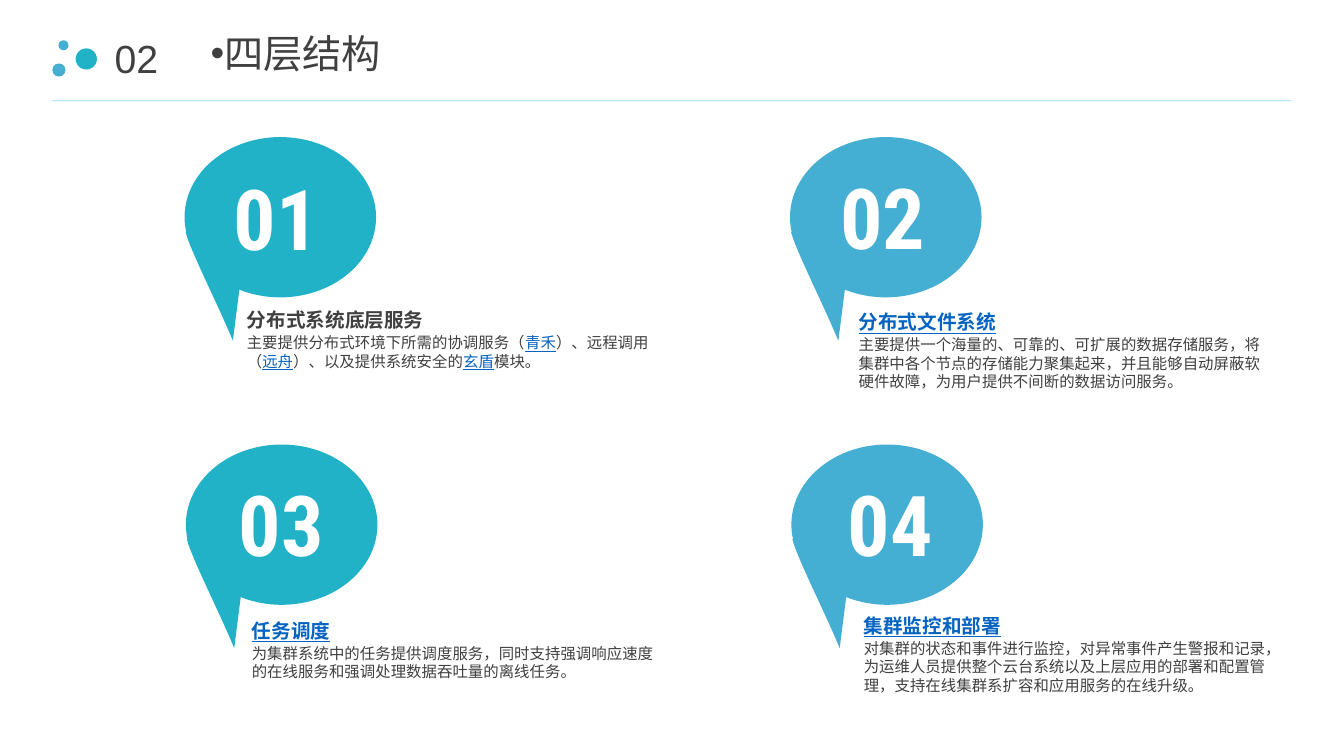
from dataclasses import dataclass

from lxml import etree
from pptx import Presentation
from pptx.dml.color import RGBColor
from pptx.enum.shapes import MSO_CONNECTOR, MSO_SHAPE
from pptx.enum.text import PP_ALIGN
from pptx.oxml.ns import qn
from pptx.util import Inches, Pt

ELLIPSE = MSO_SHAPE.OVAL
STRAIGHT = MSO_CONNECTOR.STRAIGHT
LEFT, CENTER = PP_ALIGN.LEFT, PP_ALIGN.CENTER


@dataclass(frozen=True)
class Theme:
    teal: str = "21B2C8"
    blue: str = "45AED3"
    ink: str = "404040"
    link: str = "0563C1"
    white: str = "FFFFFF"
    plain_font: str = "Arial"
    main_font: str = "Roboto Condensed"
    title_size: int = 28
    number_size: int = 60
    heading_size: int = 14
    body_size: int = 11


@dataclass(frozen=True)
class Layer:
    number: str
    number_at: tuple
    heading: str
    body: str
    note_at: tuple
    note_width: float
    body_height: float


# Positions are percentages of slide width and height; |…| marks a link.
LAYERS = [
    Layer("01", (16.2, 21.33), "分布式系统底层服务",
          "主要提供分布式环境下所需的协调服务（|青禾|）、远程调用（|远舟|）、"
          "以及提供系统安全的|玄盾|模块。",
          (17.63, 40.13), 32.4, 6.27),
    Layer("02", (61.35, 21.2), "|分布式文件系统|",
          "主要提供一个海量的、可靠的、可扩展的数据存储服务，将集群中各个节点的"
          "存储能力聚集起来，并且能够自动屏蔽软硬件故障，为用户提供不间断的数据访问服务。",
          (63.15, 40.4), 32.4, 8.8),
    Layer("03", (16.58, 61.87), "|任务调度|",
          "为集群系统中的任务提供调度服务，同时支持强调响应速度的在线服务和"
          "强调处理数据吞吐量的离线任务。",
          (18, 81.2), 32.03, 6.27),
    Layer("04", (61.88, 61.87), "|集群监控和部署|",
          "对集群的状态和事件进行监控，对异常事件产生警报和记录，为运维人员提供"
          "整个云台系统以及上层应用的部署和配置管理，支持在线集群系扩容和应用服务的在线升级。",
          (63.53, 80.53), 32.03, 8.8),
]
HEADER_DOTS = [(5.63, 6.4, 1.58, 2.8, "teal"),
               (3.9, 8.4, 0.98, 1.73, "blue"),
               (4.35, 5.33, 0.75, 1.33, "blue")]
BUBBLE_SIZE = (14.25, 21.2)
TAIL_ROOT = (4.58, 13.2)
TAIL_CURVE = [(3.6, 26.93), (2.48, 22.13), (0.38, 14.8), (0.08, 12.53)]
CURVE_STEPS = 12


def bezier(controls, t):
    """Point at t on a cubic curve with four control points."""
    weights = ((1 - t) ** 3, 3 * t * (1 - t) ** 2, 3 * t ** 2 * (1 - t), t ** 3)
    return tuple(sum(w * c for w, c in zip(weights, axis)) for axis in zip(*controls))


class SlideBuilder:
    def __init__(self, presentation, theme):
        self.theme = theme
        self.width = presentation.slide_width
        self.height = presentation.slide_height
        self.slide = presentation.slides.add_slide(presentation.slide_layouts[6])
        self.shapes = self.slide.shapes

    def place(self, x, y):
        """Turn percentages of the slide's size into lengths."""
        return round(self.width * x / 100), round(self.height * y / 100)

    def paint(self, shape, color):
        shape.shadow.inherit = False
        shape.fill.solid()
        shape.fill.fore_color.rgb = RGBColor.from_string(color)
        shape.line.fill.background()

    def ellipse(self, x, y, w, h, color):
        self.paint(self.shapes.add_shape(ELLIPSE, *self.place(x, y), *self.place(w, h)), color)

    def text(self, x, y, w, h, content, size, color=None, font=None, bold=False, align=LEFT):
        """Add a text box, format its parts and return its paragraph."""
        box = self.shapes.add_textbox(*self.place(x, y), *self.place(w, h))
        box.text_frame.word_wrap = True
        paragraph = box.text_frame.paragraphs[0]
        paragraph.alignment = align
        for index, part in enumerate(content.split("|")):
            if not part:
                continue
            is_link = index % 2 == 1
            run = paragraph.add_run()
            run.text = part
            run.font.name = font or self.theme.main_font
            run.font.size = Pt(size)
            run.font.bold = bold
            run.font.underline = is_link
            run.font.color.rgb = RGBColor.from_string(
                self.theme.link if is_link else color or self.theme.ink)
        return paragraph

    def bullet(self, paragraph):
        properties = paragraph._p.get_or_add_pPr()
        properties.set("marL", "0")
        properties.set("indent", "0")
        etree.SubElement(properties, qn("a:buFont"), typeface=self.theme.plain_font)
        etree.SubElement(properties, qn("a:buChar"), char="•")

    def rule(self, x, y, w, color, opacity):
        rule = self.shapes.add_connector(STRAIGHT, *self.place(x, y), *self.place(x + w, y))
        rule.line.width = Pt(0.5)
        rule.line.color.rgb = RGBColor.from_string(color)
        properties = rule._element.spPr
        tint = properties.find(".//" + qn("a:srgbClr"))
        etree.SubElement(tint, qn("a:alpha"), val=str(opacity * 1000))
        etree.SubElement(properties, qn("a:effectLst"))

    def bubble(self, x, y, color):
        """Draw a speech bubble: curved tail first, then its round body."""
        curve = [bezier(TAIL_CURVE, step / CURVE_STEPS) for step in range(CURVE_STEPS + 1)]
        root, *edge = [self.place(x + dx, y + dy) for dx, dy in [TAIL_ROOT, *curve]]
        outline = self.shapes.build_freeform(*root)
        outline.add_line_segments(edge, close=True)
        self.paint(outline.convert_to_shape(), color)
        self.ellipse(x, y, *BUBBLE_SIZE, color)

    def header(self, number, title):
        theme = self.theme
        self.text(7.8, 3.87, 8.93, 7.6, number, theme.title_size, font=theme.plain_font)
        heading = self.text(14.93, 3.87, 45.75, 7.07, title, theme.title_size)
        heading.line_spacing = 0.9
        heading.space_before = Pt(10)
        self.bullet(heading)
        for x, y, w, h, color in HEADER_DOTS:
            self.ellipse(x, y, w, h, getattr(theme, color))
        self.rule(3.9, 13.33, 92.18, theme.teal, 50)

    def layer(self, layer, row, column):
        theme = self.theme
        self.bubble(13.73 + 45.05 * column + 0.1 * row, 18.13 + 40.67 * row,
                    (theme.teal, theme.blue)[column])
        self.text(*layer.number_at, 8.7, 14.8, layer.number, theme.number_size,
                  color=theme.white, bold=True, align=CENTER)
        x, y = layer.note_at
        self.text(x, y, 16.8, 4.53, layer.heading, theme.heading_size, bold=True)
        self.text(x, y + 3.33, layer.note_width, layer.body_height, layer.body,
                  theme.body_size)


def main():
    presentation = Presentation()
    presentation.slide_width = Inches(13.33)
    presentation.slide_height = Inches(7.5)
    builder = SlideBuilder(presentation, Theme())
    builder.header("02", "四层结构")
    for index, layer in enumerate(LAYERS):
        builder.layer(layer, *divmod(index, 2))
    presentation.save("out.pptx")


if __name__ == "__main__":
    main()
